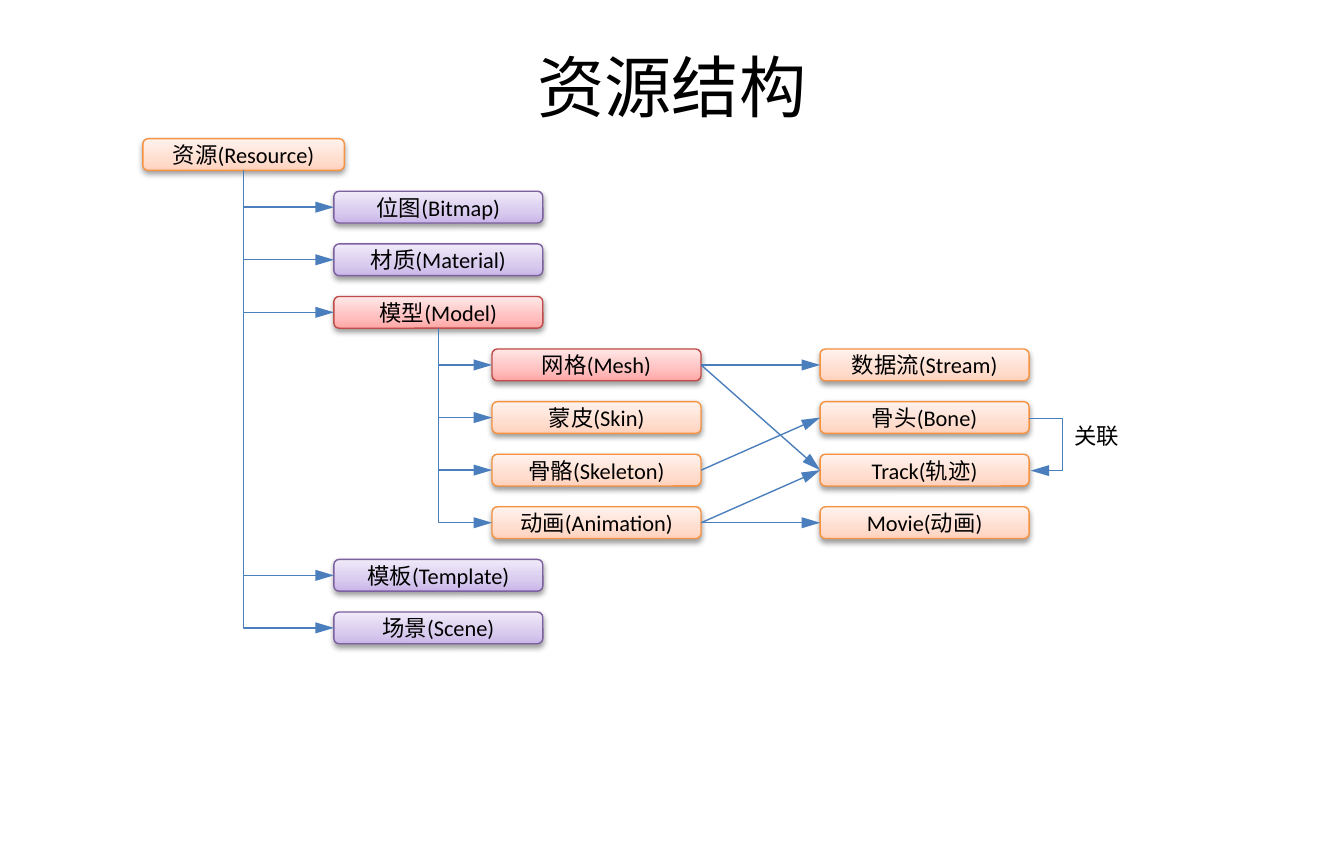
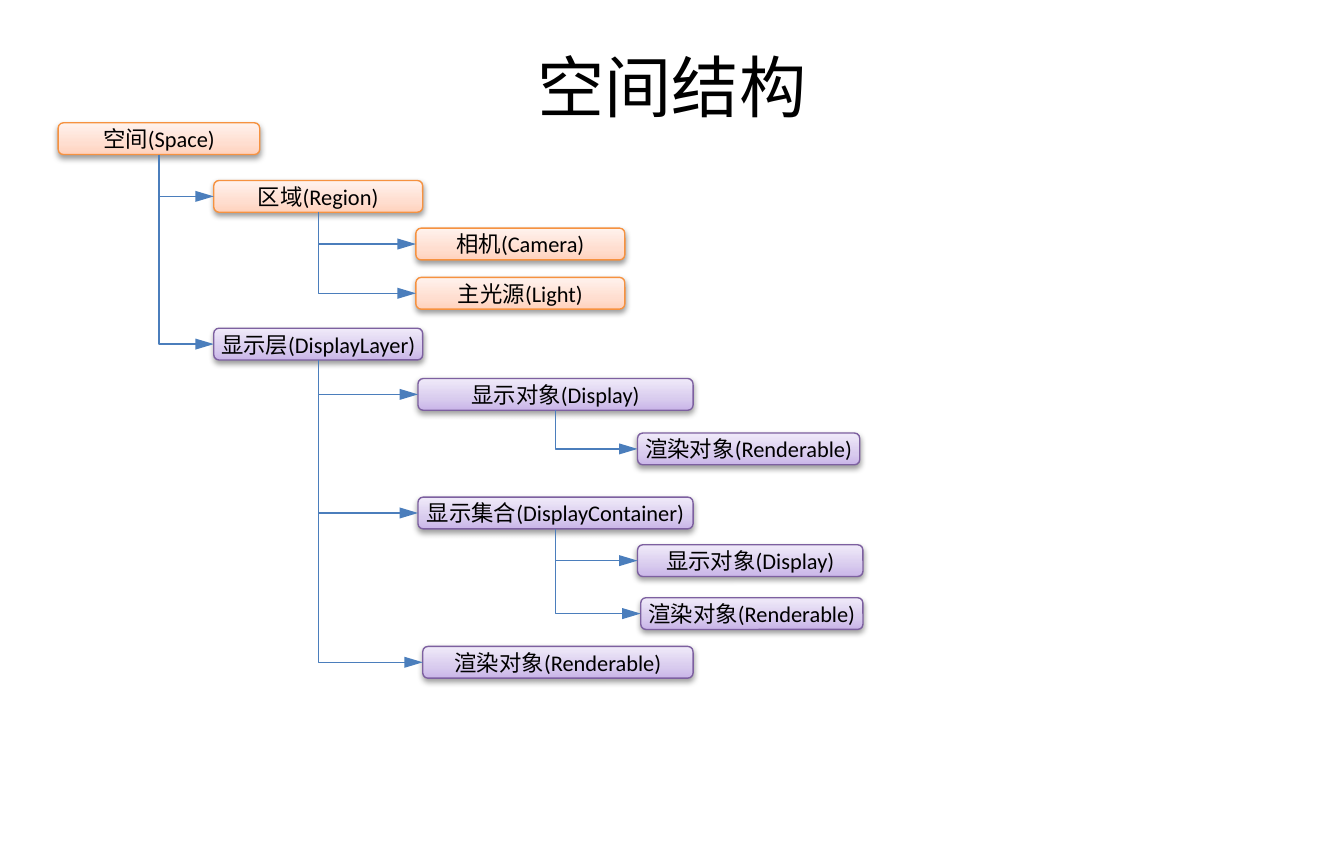
import copy

import lxml.etree
import pptx
import pptx.dml.color
import pptx.enum.shapes
import pptx.enum.text
import pptx.oxml.ns
import pptx.util

Cm = pptx.util.Cm
Pt = pptx.util.Pt
qn = pptx.oxml.ns.qn

CM_PER_INCH = 2.54
SLIDE_SIZE = {
    "slide_width": Cm(10 * CM_PER_INCH),
    "slide_height": Cm(6.41 * CM_PER_INCH),
}
FONT = "Calibri"
COLOURS = {"text": "000000", "connector": "4B7EBC", "shadow": "000000"}
NODE_COLOURS = {
    "orange": {"line": "F69240", "stops": ("FFD2BD", "FFDED0", "FFF2ED")},
    "purple": {"line": "7D60A0", "stops": ("C9B5E8", "D8CBEE", "F0EAF9")},
    "red": {"line": "BF4C48", "stops": ("FFA6A5", "FFC0BF", "FFE7E7")},
}
STOP_POSITIONS = (0, 0.35, 1)
NODE_HEIGHT = 0.6
ROOT_WIDTH, NODE_WIDTH = 3.81, 3.95
TOP, LEFT, BOTTOM, RIGHT = range(4)  # connection sites of a node

MIDDLE = pptx.enum.text.MSO_ANCHOR.MIDDLE
NO_MARGINS = {"margin_left": 0, "margin_right": 0, "margin_top": 0, "margin_bottom": 0}
TITLE_FRAME = {"word_wrap": True, "vertical_anchor": MIDDLE}
NODE_FRAME = {**NO_MARGINS, "word_wrap": True, "vertical_anchor": MIDDLE}
LABEL_FRAME = {
    **NO_MARGINS,
    "word_wrap": False,
    "auto_size": pptx.enum.text.MSO_AUTO_SIZE.SHAPE_TO_FIT_TEXT,
}

# Resource tree: columns and rows of an even grid
COLUMN_LEFTS = (2.7, 6.31, 9.3, 15.5)
FIRST_ROW, LAST_ROW, ROW_STEPS = 2.62, 11.56, 9
# label, colour, column, row, index of the parent
RESOURCE_NODES = (
    ("资源(Resource)", "orange", 0, 0, None),
    ("位图(Bitmap)", "purple", 1, 1, 0),
    ("材质(Material)", "purple", 1, 2, 0),
    ("模型(Model)", "red", 1, 3, 0),
    ("网格(Mesh)", "red", 2, 4, 3),
    ("蒙皮(Skin)", "orange", 2, 5, 3),
    ("骨骼(Skeleton)", "orange", 2, 6, 3),
    ("动画(Animation)", "orange", 2, 7, 3),
    ("数据流(Stream)", "orange", 3, 4, None),
    ("骨头(Bone)", "orange", 3, 5, None),
    ("Track(轨迹)", "orange", 3, 6, None),
    ("Movie(动画)", "orange", 3, 7, None),
    ("模板(Template)", "purple", 1, 8, 0),
    ("场景(Scene)", "purple", 1, 9, 0),
)
# Mesh, Skeleton and Animation point at the nodes in the last column
RESOURCE_ARROWS = ((4, 8), (4, 10), (6, 9), (7, 10), (7, 11))

# Space tree: label, colour, left, top, width, index of the parent
SPACE_NODES = (
    ("空间(Space)", "orange", 1.1, 2.32, ROOT_WIDTH, None),
    ("区域(Region)", "orange", 4.04, 3.41, NODE_WIDTH, 0),
    ("相机(Camera)", "orange", 7.86, 4.31, NODE_WIDTH, 1),
    ("主光源(Light)", "orange", 7.86, 5.24, NODE_WIDTH, 1),
    ("显示层(DisplayLayer)", "purple", 4.04, 6.2, NODE_WIDTH, 0),
    ("显示对象(Display)", "purple", 7.9, 7.15, 5.2, 4),
    ("渲染对象(Renderable)", "purple", 12.05, 8.18, 4.2, 5),
    ("显示集合(DisplayContainer)", "purple", 7.9, 9.39, 5.2, 4),
    ("显示对象(Display)", "purple", 12.05, 10.29, 4.26, 7),
    ("渲染对象(Renderable)", "purple", 12.11, 11.29, 4.2, 7),
    ("渲染对象(Renderable)", "purple", 7.99, 12.21, 5.11, 4),
)


def rgb(value):
    """Turn a hex string into a colour."""
    return pptx.dml.color.RGBColor.from_string(value)


def apply(target, values):
    """Set attributes of an object from a dict."""
    for name, value in values.items():
        setattr(target, name, value)


def set_text(shape, text, size, frame_format, centred=True):
    """Write one formatted paragraph into a shape."""
    frame = shape.text_frame
    apply(frame, frame_format)
    paragraph = frame.paragraphs[0]
    alignments = pptx.enum.text.PP_ALIGN
    paragraph.alignment = alignments.CENTER if centred else alignments.LEFT
    run = paragraph.add_run()
    run.text = text
    apply(run.font, {"name": FONT, "size": Pt(size)})
    run.font.color.rgb = rgb(COLOURS["text"])


def add_text(slide, text, box, size, frame_format, centred=True):
    """Add a text box; box is left, top, width and height."""
    shape = slide.shapes.add_textbox(*map(Cm, box))
    set_text(shape, text, size, frame_format, centred)


def add_shadow(shape):
    """Give a shape a soft shadow below it."""
    shape.shadow.inherit = False
    effects = shape._element.spPr.find(qn("a:effectLst"))
    shadow = lxml.etree.SubElement(
        effects, qn("a:outerShdw"),
        blurRad="40000", dist="20000", dir="5400000", rotWithShape="0")
    colour = lxml.etree.SubElement(shadow, qn("a:srgbClr"), val=COLOURS["shadow"])
    lxml.etree.SubElement(colour, qn("a:alpha"), val="38000")


def fill_gradient(shape, stops):
    """Fill a shape with three colours, from bottom to top."""
    shape.fill.gradient()
    shape.fill.gradient_angle = 90
    stop_list = shape._element.spPr.find(".//" + qn("a:gsLst"))
    stop_list.append(copy.deepcopy(stop_list[0]))
    for stop, position, colour in zip(shape.fill.gradient_stops, STOP_POSITIONS, stops):
        stop.position = position
        stop.color.rgb = rgb(colour)


def add_node(slide, label, colour, left, top, width):
    """Add a rounded, shaded node of the tree."""
    shape = slide.shapes.add_shape(
        pptx.enum.shapes.MSO_SHAPE.ROUNDED_RECTANGLE,
        *map(Cm, (left, top, width, NODE_HEIGHT)))
    fill_gradient(shape, NODE_COLOURS[colour]["stops"])
    shape.line.color.rgb = rgb(NODE_COLOURS[colour]["line"])
    shape.line.width = Pt(0.75)
    add_shadow(shape)
    set_text(shape, label, 12, NODE_FRAME)
    return shape


def add_connector(slide, kind, start=(0, 0), end=(0, 0)):
    """Add a thin connector with a long arrowhead at its end."""
    connector = slide.shapes.add_connector(kind, *start, *end)
    connector.line.color.rgb = rgb(COLOURS["connector"])
    connector.line.width = Pt(0.75)
    properties = connector._element.spPr
    lxml.etree.SubElement(
        properties.find(qn("a:ln")), qn("a:tailEnd"), type="triangle", len="lg")
    lxml.etree.SubElement(properties, qn("a:effectLst"))
    return connector


def add_arrow(slide, source, target):
    """Join the right side of a node to the left side of another."""
    connector = add_connector(slide, pptx.enum.shapes.MSO_CONNECTOR.STRAIGHT)
    connector.begin_connect(source, RIGHT)
    connector.end_connect(target, LEFT)


def add_branch(slide, parent, child):
    """Join a parent to a child: down from its bottom, then right."""
    connector = add_connector(slide, pptx.enum.shapes.MSO_CONNECTOR.ELBOW)
    connector.begin_connect(parent, BOTTOM)
    connector.end_connect(child, LEFT)
    start_x = parent.left + parent.width // 2
    start_y = parent.top + parent.height
    across = child.left - start_x
    down = child.top + child.height // 2 - start_y
    # The one-bend preset goes right, then down: turn and mirror it
    apply(connector, {
        "left": start_x + (across - down) // 2,
        "top": start_y + (down - across) // 2,
        "width": down,
        "height": across,
    })
    properties = connector._element.spPr
    properties.find(qn("a:prstGeom")).set("prst", "bentConnector2")
    frame = properties.find(qn("a:xfrm"))
    frame.attrib.pop("flipV", None)
    frame.set("flipH", "1")
    frame.set("rot", "16200000")


def add_side_loop(slide, start, end, bend_percent):
    """Add an elbow that leaves to the right and comes back."""
    connector = add_connector(
        slide, pptx.enum.shapes.MSO_CONNECTOR.ELBOW, map(Cm, start), map(Cm, end))
    geometry = connector._element.spPr.find(qn("a:prstGeom"))
    guides = geometry.find(qn("a:avLst"))
    if guides is None:
        guides = lxml.etree.SubElement(geometry, qn("a:avLst"))
    lxml.etree.SubElement(
        guides, qn("a:gd"), name="adj1", fmla=f"val {bend_percent * 1000}")


def add_tree(slide, rows):
    """Add nodes and the branches from their parents."""
    nodes = []
    for *node, parent in rows:
        nodes.append(add_node(slide, *node))
        if parent is not None:
            add_branch(slide, nodes[parent], nodes[-1])
    return nodes


def add_titled_slide(presentation, title):
    """Add a blank slide with a centred title."""
    slide = presentation.slides.add_slide(presentation.slide_layouts[6])
    add_text(slide, title, (1.27, 0.66, 22.86, 1.9), 36, TITLE_FRAME)
    return slide


def resource_rows():
    """Place the resource nodes on the grid."""
    step = (LAST_ROW - FIRST_ROW) / ROW_STEPS
    for label, colour, column, row, parent in RESOURCE_NODES:
        width = NODE_WIDTH if column else ROOT_WIDTH
        yield label, colour, COLUMN_LEFTS[column], FIRST_ROW + row * step, width, parent


def build_resource_slide(presentation):
    """Build the slide on resources."""
    slide = add_titled_slide(presentation, "资源结构")
    nodes = add_tree(slide, resource_rows())
    for source, target in RESOURCE_ARROWS:
        add_arrow(slide, nodes[source], nodes[target])
    add_side_loop(slide, (19.45, 7.9), (19.48, 8.89), 2100)
    add_text(slide, "关联", (20.3, 7.98, 0.86, 0.51), 12, LABEL_FRAME, centred=False)


def build_space_slide(presentation):
    """Build the slide on spaces."""
    slide = add_titled_slide(presentation, "空间结构")
    add_tree(slide, SPACE_NODES)


def main():
    """Build and save the presentation."""
    presentation = pptx.Presentation()
    apply(presentation, SLIDE_SIZE)
    build_resource_slide(presentation)
    build_space_slide(presentation)
    presentation.save("out.pptx")


main()
